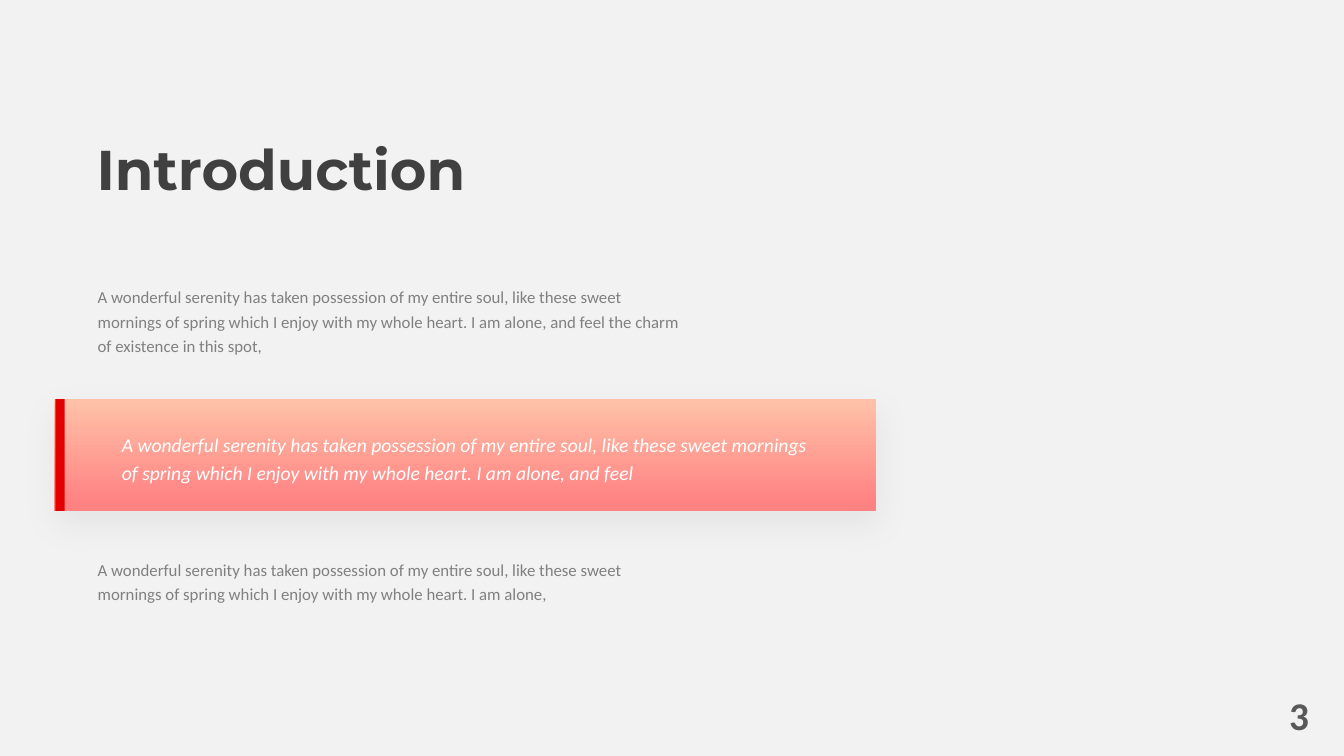
from lxml import etree
from pptx import Presentation
from pptx.dml.color import RGBColor
from pptx.enum.shapes import MSO_SHAPE
from pptx.enum.text import MSO_AUTO_SIZE, PP_ALIGN
from pptx.oxml.ns import qn
from pptx.util import Inches, Pt

RECT = MSO_SHAPE.RECTANGLE
GROW = MSO_AUTO_SIZE.SHAPE_TO_FIT_TEXT
LEFT, RIGHT = PP_ALIGN.LEFT, PP_ALIGN.RIGHT

COLORS = {
    "background": "F2F2F2",
    "title": "404040",
    "body": "808080",
    "number": "595959",
    "quote": "FFFFFF",
    "peach": "FFC2A8",
    "coral": "FF8283",
    "accent": "E20001",
    "shadow": "000000",
}


def rgb(name):
    return RGBColor.from_string(COLORS[name])


def add_text(box, text, size, color, font="Calibri", spacing=1.0,
             bold=False, italic=False, align=LEFT):
    tf = s.shapes.add_textbox(*map(Inches, box)).text_frame
    tf.word_wrap = True
    tf.auto_size = GROW
    p = tf.paragraphs[0]
    p.text = text
    p.alignment = align
    p.line_spacing = spacing
    p.font.name = font
    p.font.size = Pt(size)
    p.font.bold = bold
    p.font.italic = italic
    p.font.color.rgb = rgb(color)


prs = Presentation()
prs.slide_width, prs.slide_height = Inches(13.33), Inches(7.5)
s = prs.slides.add_slide(prs.slide_layouts[6])
s.background.fill.solid()
s.background.fill.fore_color.rgb = rgb("background")

add_text((11.48, 6.81, 1.6, 0.57), "3", 28, "number", bold=True, align=RIGHT)
add_text((0.86, 1.41, 4.65, 0.64), "Introduction", 40, "title",
         font="Montserrat", spacing=0.8, bold=True)

opening = ("A wonderful serenity has taken possession of my entire soul, like these sweet "
           "mornings of spring which I enjoy with my whole heart. I am alone,")
add_text((0.87, 2.76, 6.04, 0.81),
         opening + " and feel the charm of existence in this spot,",
         12, "body", spacing=1.2)
add_text((0.87, 5.46, 6.04, 0.57), opening, 12, "body", spacing=1.2)

banner = s.shapes.add_shape(RECT, Inches(0.54), Inches(3.96), Inches(8.15), Inches(1.11))
banner.line.fill.background()
banner.fill.gradient()
banner.fill.gradient_angle = 270
for stop, (position, color) in zip(banner.fill.gradient_stops,
                                   [(0, "peach"), (0.93, "coral")]):
    stop.position = position
    stop.color.rgb = rgb(color)

banner.shadow.inherit = False
effects = banner.element.spPr.find(qn("a:effectLst"))
shadow = etree.SubElement(effects, qn("a:outerShdw"), blurRad=str(Pt(25)),
                          dist=str(Pt(9)), dir="5400000", algn="t", rotWithShape="0")
tint = etree.SubElement(shadow, qn("a:srgbClr"), val=COLORS["shadow"])
etree.SubElement(tint, qn("a:alpha"), val="5000")

stripe = s.shapes.add_shape(RECT, Inches(0.55), Inches(3.96), Inches(0.09), Inches(1.11))
stripe.shadow.inherit = False
stripe.line.fill.background()
stripe.fill.solid()
stripe.fill.fore_color.rgb = rgb("accent")

add_text((1.11, 4.2, 7.03, 0.65), opening + " and feel", 14, "quote",
         spacing=1.2, italic=True)

prs.save("out.pptx")
